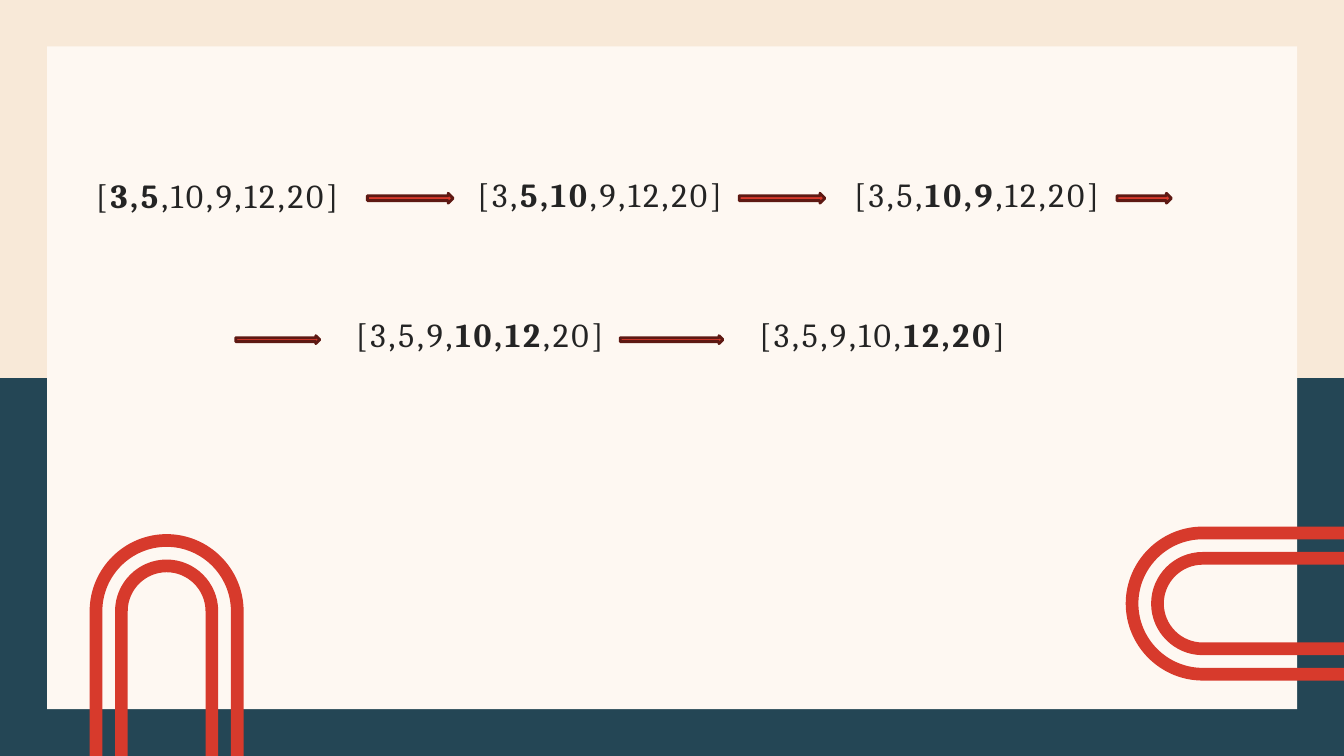
from lxml.etree import SubElement
from pptx import Presentation
from pptx.dml.color import RGBColor
from pptx.enum.shapes import MSO_SHAPE
from pptx.enum.text import MSO_ANCHOR, PP_ALIGN
from pptx.oxml.ns import qn
from pptx.util import Cm, Pt

HUES = {"sand": "F8E9D8", "navy": "244655", "cream": "FEF8F2",
        "red": "D73A2C", "dark": "5E1913", "ink": "242424"}
WIDE, HIGH = 33.87, 19.05
BAND = 0.32
BEND = 0.55

LISTS = [
    (1.69, 4.39, 7.57, 2.16, ["[", "3,5", ",10,9,12,20]"]),
    (10.8, 4.37, 8.89, 1.73, ["[3,", "5,10", ",9,12,20] "]),
    (20.17, 4.37, 8.89, 1.73, ["[3,5,", "10,9", ",12,20]"]),
    (18.42, 7.89, 7.62, 1.73, ["[3,5,9,10,", "12,20", "]"]),
    (7.25, 7.88, 9.68, 1.55, ["[3,5,9,", "10,12", ",20]"]),
]
ARROWS = [
    (18.63, 4.87, 2.16, 0.25), (9.26, 4.87, 2.16, 0.25),
    (28.15, 4.87, 1.37, 0.25),
    (5.94, 8.46, 2.12, 0.2), (15.63, 8.46, 2.59, 0.2),
]


def tone(name):
    """Return the named colour."""
    return RGBColor.from_string(HUES[name])


def paint(shape, fill, line=None):
    """Give a shape a flat fill and an optional outline."""
    shape.shadow.inherit = False
    shape.fill.solid()
    shape.fill.fore_color.rgb = tone(fill)
    if line:
        shape.line.color.rgb = tone(line)
        shape.line.width = Pt(2)
    else:
        shape.line.fill.background()


def block(slide, kind, box, fill, line=None):
    """Add a preset shape in the given box."""
    shape = slide.shapes.add_shape(kind, *map(Cm, box))
    paint(shape, fill, line)


def curve(size):
    """Return the nodes and handles of a half circle made of two curves."""
    pull = size * BEND
    return [(0, -size), (-pull, -size), (-size, -pull), (-size, 0),
            (-size, pull), (-pull, size), (0, size)]


def smooth(form, starts):
    """Turn each run of three straight steps into one cubic curve."""
    steps = list(form._element.iter(qn("a:lnTo")))
    for start in starts:
        first, *rest = steps[start:start + 3]
        cubic = SubElement(first.getparent(), qn("a:cubicBezTo"))
        first.addprevious(cubic)
        for step in (first, *rest):
            cubic.append(step[0])
            step.getparent().remove(step)


def arch(slide, x, y, outer, leg, flat):
    """Add one red band bent into an arch, upright or lying flat."""
    inner = outer - BAND
    ring = [(leg, -outer), *curve(outer), (leg, outer),
            (leg, inner), *reversed(curve(inner)), (leg, -inner)]
    dots = [(Cm(x + a), Cm(y + b)) if flat else (Cm(x + b), Cm(y + a))
            for a, b in ring]
    build = slide.shapes.build_freeform(*dots[0])
    build.add_line_segments(dots[1:])
    form = build.convert_to_shape()
    smooth(form, (1, 4, 10, 13))
    paint(form, "red")


def label(slide, box, parts):
    """Add a number list whose middle part is bold."""
    frame = slide.shapes.add_textbox(*map(Cm, box)).text_frame
    frame.word_wrap = True
    frame.vertical_anchor = MSO_ANCHOR.TOP
    frame.margin_left = frame.margin_right = Cm(0.33)
    frame.margin_top = frame.margin_bottom = Cm(0.18)
    para = frame.paragraphs[0]
    para.alignment = PP_ALIGN.CENTER
    para.line_spacing = 0.85
    para.space_after = Pt(6)
    for spot, part in enumerate(parts):
        run = para.add_run()
        run.text = part
        run.font.name = "Cambria"
        run.font.size = Pt(24)
        run.font.bold = spot == 1
        run.font.color.rgb = tone("ink")
        run.font._element.set("spc", "200")


def main():
    """Build and save the slide."""
    deck = Presentation()
    deck.slide_width, deck.slide_height = Cm(WIDE), Cm(HIGH)
    slide = deck.slides.add_slide(deck.slide_layouts[6])
    slide.background.fill.solid()
    slide.background.fill.fore_color.rgb = tone("sand")
    rect = MSO_SHAPE.RECTANGLE
    block(slide, rect, (0, HIGH / 2, WIDE, HIGH / 2), "navy")
    block(slide, rect, (1.19, 1.17, 31.5, 16.7), "cream")
    sizes = (1.94, 1.94 - 2 * BAND)
    for size in sizes:
        arch(slide, 30.31, 15.21, size, WIDE - 30.31, True)
    for size in sizes:
        arch(slide, 4.2, 15.4, size, HIGH - 15.4, False)
    for *box, parts in LISTS:
        label(slide, box, parts)
    for box in ARROWS:
        block(slide, MSO_SHAPE.RIGHT_ARROW, box, "red", "dark")
    deck.save("out.pptx")


if __name__ == "__main__":
    main()
